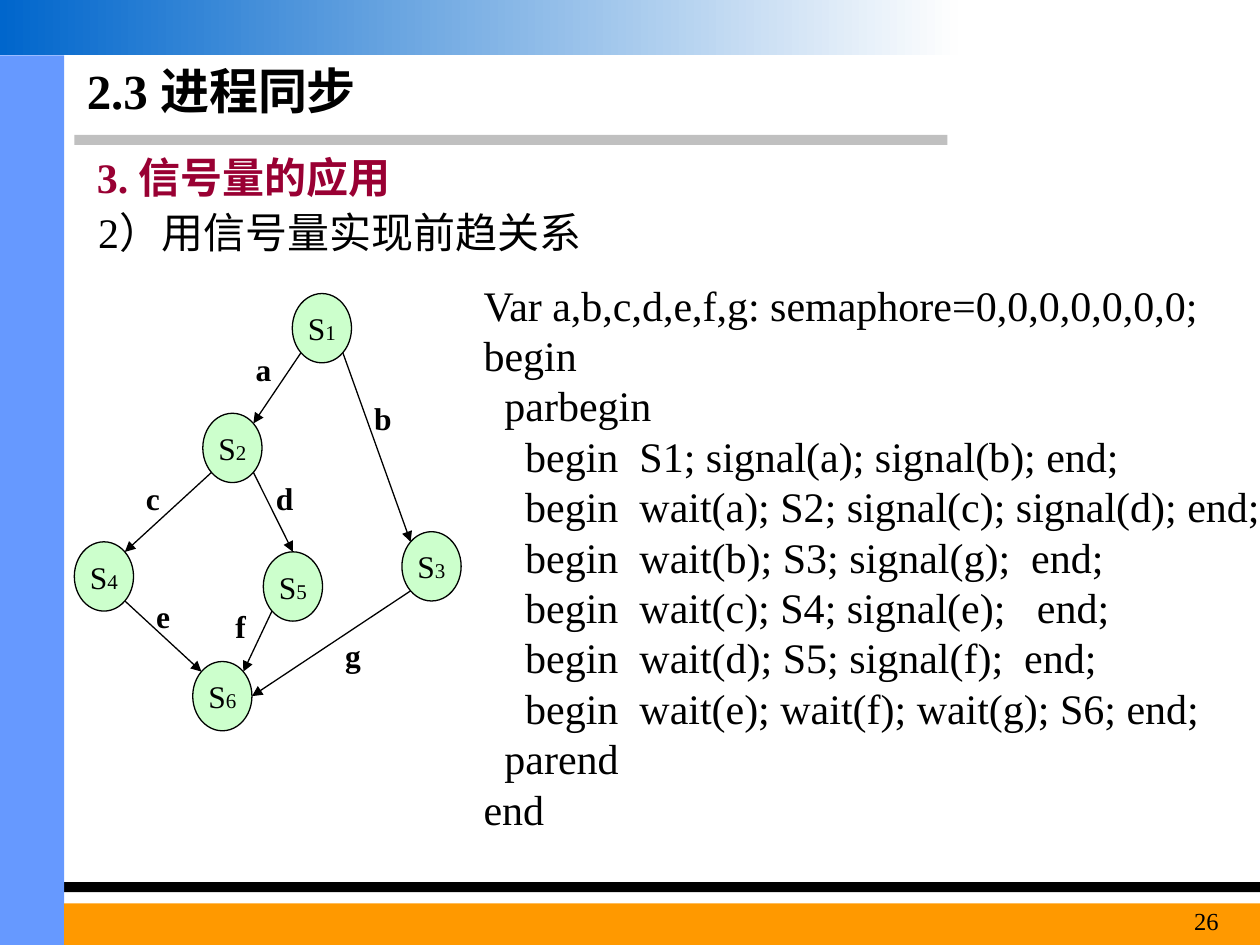
import math
import pptx
import pptx.dml.color
import pptx.enum.shapes
import pptx.enum.text
import pptx.oxml.ns
import pptx.util
from lxml import etree
from pptx.util import Inches

BLACK = "000000"
FONT = "Times New Roman"
NODE_WIDTH, NODE_HEIGHT = 0.47, 0.55
SHAPES = pptx.enum.shapes.MSO_SHAPE
ALIGN = pptx.enum.text.PP_ALIGN
ANCHOR = pptx.enum.text.MSO_ANCHOR

BARS = [
    (0.59, 1.07, 6.93, 0.08, "C0C0C0"),
    (0, 7, 10, 0.08, BLACK),
    (0, 0.44, 0.51, 7.06, "6699FF"),
    (0.51, 7.17, 9.49, 0.33, "FF9900"),
]
NODES = {
    "1": (2.32, 2.33),
    "2": (1.61, 3.28),
    "3": (3.19, 4.22),
    "4": (0.59, 4.3),
    "5": (2.09, 4.38),
    "6": (1.53, 5.25),
}
RIGHT, BOTTOM_RIGHT, BOTTOM_LEFT = 0, 45, 135
TOP_LEFT, TOP, TOP_RIGHT = 225, 270, 315
EDGES = [
    ("1", BOTTOM_LEFT, "2", TOP_RIGHT),
    ("2", BOTTOM_LEFT, "4", TOP_RIGHT),
    ("2", BOTTOM_RIGHT, "5", TOP),
    ("1", BOTTOM_RIGHT, "3", TOP_LEFT),
    ("4", BOTTOM_RIGHT, "6", TOP_LEFT),
    ("5", BOTTOM_LEFT, "6", TOP_RIGHT),
    ("3", BOTTOM_LEFT, "6", RIGHT),
]
EDGE_LABELS = [
    ("a", 1.93, 2.73),
    ("b", 2.87, 3.12),
    ("c", 1.06, 3.75),
    ("d", 2.09, 3.75),
    ("e", 1.14, 4.69),
    ("f", 1.77, 4.77),
    ("g", 2.64, 5),
]
INDENT = 0.165
PROGRAM = [
    (0, "Var a,b,c,d,e,f,g: semaphore=0,0,0,0,0,0,0;"),
    (0, "begin"),
    (1, "parbegin"),
    (2, "begin  S1; signal(a); signal(b); end;"),
    (2, "begin  wait(a); S2; signal(c); signal(d); end;"),
    (2, "begin  wait(b); S3; signal(g);  end;"),
    (2, "begin  wait(c); S4; signal(e);   end;"),
    (2, "begin  wait(d); S5; signal(f);  end;"),
    (2, "begin  wait(e); wait(f); wait(g); S6; end;"),
    (1, "parend"),
    (0, "end"),
]


def rgb(value):
    return pptx.dml.color.RGBColor.from_string(value)


def style_font(font, size, color=BLACK, bold=False):
    font.name = FONT
    font.size = pptx.util.Pt(size)
    font.bold = bold
    font.color.rgb = rgb(color)


def add_shape(slide, kind, left, top, width, height):
    shape = slide.shapes.add_shape(
        kind, Inches(left), Inches(top), Inches(width), Inches(height)
    )
    shape.shadow.inherit = False
    return shape


def add_bar(slide, left, top, width, height, color):
    bar = add_shape(slide, SHAPES.RECTANGLE, left, top, width, height)
    bar.fill.solid()
    bar.fill.fore_color.rgb = rgb(color)
    bar.line.fill.background()


def add_gradient_bar(slide, left, top, width, height, colors):
    bar = add_shape(slide, SHAPES.RECTANGLE, left, top, width, height)
    bar.fill.gradient()
    bar.fill.gradient_angle = 180
    for stop, color in zip(bar.fill.gradient_stops, colors):
        stop.color.rgb = rgb(color)
    bar.line.fill.background()


def set_indent(paragraph, inches):
    properties = paragraph._p.get_or_add_pPr()
    properties.set("marL", str(Inches(inches)))
    properties.set("indent", "0")


def add_text(slide, box, lines, size, color=BLACK, bold=False,
             anchor=ANCHOR.TOP, align=ALIGN.LEFT, before=0, spacing=1.0):
    text_box = slide.shapes.add_textbox(*map(Inches, box))
    frame = text_box.text_frame
    frame.word_wrap = True
    frame.vertical_anchor = anchor
    for index, (indent, text) in enumerate(lines):
        paragraph = frame.add_paragraph() if index else frame.paragraphs[0]
        paragraph.text = text
        paragraph.alignment = align
        paragraph.space_before = pptx.util.Pt(before)
        paragraph.line_spacing = spacing
        style_font(paragraph.font, size, color, bold)
        if indent:
            set_indent(paragraph, indent)


def add_node(slide, number, left, top):
    node = add_shape(slide, SHAPES.OVAL, left, top, NODE_WIDTH, NODE_HEIGHT)
    node.fill.solid()
    node.fill.fore_color.rgb = rgb("CCFFCC")
    node.line.color.rgb = rgb(BLACK)
    node.line.width = pptx.util.Pt(0.75)
    frame = node.text_frame
    frame.word_wrap = False
    frame.vertical_anchor = ANCHOR.MIDDLE
    paragraph = frame.paragraphs[0]
    paragraph.alignment = ALIGN.CENTER
    for text, size in (("S", 18), (number, 12)):
        run = paragraph.add_run()
        run.text = text
        style_font(run.font, size)


def node_point(number, degrees):
    left, top = NODES[number]
    angle = math.radians(degrees)
    x = left + NODE_WIDTH / 2 * (1 + math.cos(angle))
    y = top + NODE_HEIGHT / 2 * (1 + math.sin(angle))
    return Inches(x), Inches(y)


def add_arrow(slide, source, source_angle, target, target_angle):
    arrow = slide.shapes.add_connector(
        pptx.enum.shapes.MSO_CONNECTOR.STRAIGHT,
        *node_point(source, source_angle),
        *node_point(target, target_angle),
    )
    arrow.line.color.rgb = rgb(BLACK)
    arrow.line.width = pptx.util.Pt(0.75)
    qualified = pptx.oxml.ns.qn
    line = arrow.line._get_or_add_ln()
    etree.SubElement(line, qualified("a:tailEnd"), type="triangle")
    etree.SubElement(arrow._element.spPr, qualified("a:effectLst"))


def main():
    presentation = pptx.Presentation()
    presentation.slide_width = Inches(10)
    presentation.slide_height = Inches(7.5)
    slide = presentation.slides.add_slide(presentation.slide_layouts[6])

    for bar in BARS:
        add_bar(slide, *bar)
    add_gradient_bar(slide, 0, 0, 7.6, 0.44, ("FEFEFE", "0066CC"))

    add_text(slide, (0.59, 0.44, 6.85, 0.55), [(0, "2.3 进程同步")], 28,
             bold=True, anchor=ANCHOR.MIDDLE)
    add_text(slide, (0.43, 1.7, 8.82, 0.39), [(0.25, "2）用信号量实现前趋关系")],
             24, before=6, spacing=0.7)
    add_text(slide, (0.67, 1.15, 7.24, 0.5), [(0, "3. 信号量的应用")], 24,
             color="990033", bold=True, before=15)
    program_lines = [(level * INDENT, text) for level, text in PROGRAM]
    add_text(slide, (3.74, 2.25, 6.4, 4.33), program_lines, 24,
             anchor=ANCHOR.MIDDLE)

    for number, position in NODES.items():
        add_node(slide, number, *position)
    for edge in EDGES:
        add_arrow(slide, *edge)
    for label, left, top in EDGE_LABELS:
        add_text(slide, (left, top, 0.39, 0.4), [(0, label)], 18,
                 bold=True, before=11.2)

    add_text(slide, (8.86, 7.14, 0.91, 0.36), [(0, "26")], 14, align=ALIGN.RIGHT)
    presentation.save("out.pptx")


if __name__ == "__main__":
    main()
